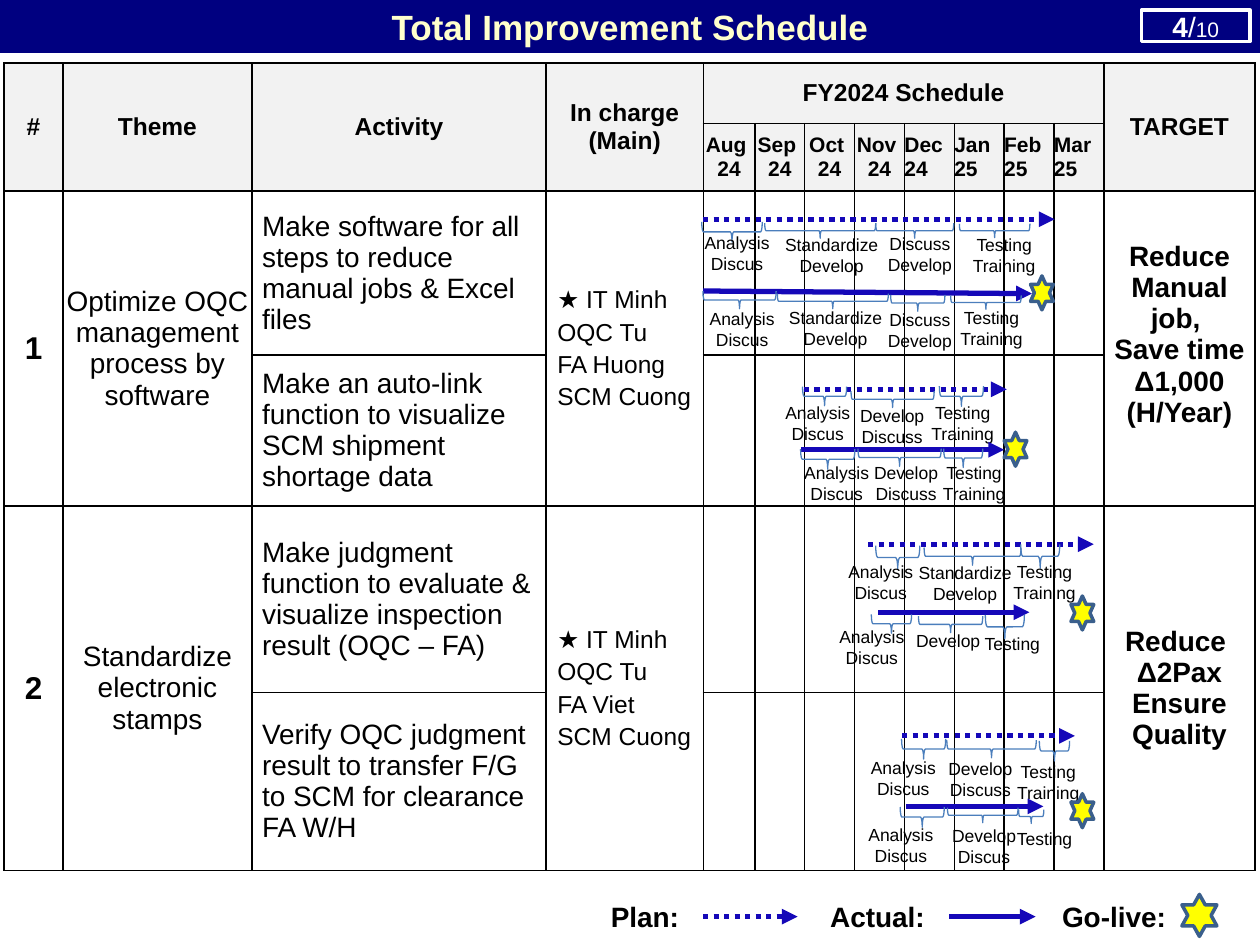
from pptx import Presentation
from pptx.dml.color import RGBColor
from pptx.enum.dml import MSO_LINE as Dash
from pptx.enum.shapes import MSO_CONNECTOR as Conn, MSO_SHAPE as Form
from pptx.enum.text import MSO_ANCHOR as Anchor, PP_ALIGN as Align
from pptx.oxml.ns import qn
from pptx.util import Pt
from lxml.etree import SubElement as Sub

BLACK = RGBColor(0, 0, 0)
WHITE = RGBColor(255, 255, 255)
GREY = RGBColor(0xF2, 0xF2, 0xF2)
NAVY = RGBColor(0, 0, 0x80)
CREAM = RGBColor(0xFF, 0xFF, 0xCC)
BLUE = RGBColor(0x15, 0x08, 0xB8)
STEEL = RGBColor(0x4B, 0x7E, 0xBC)
SLATE = RGBColor(0x3A, 0x5F, 0x8C)
YELLOW = RGBColor(255, 255, 0)

LEFT, MID = Align.LEFT, Align.CENTER
COLS = [33.7, 108, 168, 90, 29.4] + [28.5] * 7 + [86.4]
ROWS = [34.6, 38.5, 93.6, 86.4, 106.6, 101.5]
HEADS = {0: "#", 1: "Theme", 2: "Activity", 3: "In charge (Main)", 12: "TARGET"}
MONTHS = [["Aug ", "24"], ["Sep ", "24"], ["Oct ", "24"], ["Nov ", "24"],
          ["Dec 24"], ["Jan 25"], ["Feb 25"], ["Mar 25"]]

# theme, activities, people in charge, target, target cell margins
THEMES = [
    ("Optimize OQC management process by software",
     ["Make software for all steps to reduce manual jobs & Excel files",
      "Make an auto-link function to visualize SCM shipment shortage data"],
     ["★ IT Minh", "OQC Tu", "FA Huong", "SCM Cuong"],
     ["Reduce Manual job, ", "Save time", "Δ1,000 (H/Year)"], (0, 0, 0, 16)),
    ("Standardize electronic stamps",
     ["Make judgment function to evaluate & visualize inspection result (OQC – FA)",
      "Verify OQC judgment result to transfer F/G to SCM for clearance FA W/H"],
     ["★ IT Minh", "OQC Tu", "FA Viet", "SCM Cuong"],
     ["Reduce ", "Δ2Pax", "Ensure Quality"], (3.6,) * 4),
]

STUDY, NORM, TALK = "Analysis Discus", "Standardize Develop", "Discuss Develop"
BUILD, TEST = "Develop Discuss", "Testing Training"
WIDTHS = {STUDY: 69, NORM: 69, BUILD: 54, "Develop": 61, "Develop Discus": 69}

# bar: is plan, start, end, phases
# phase: label, its centre, brace centre, brace length and depth
BARS = [
    (True, (401.8, 125.3), (602.6, 125.3), [
        (STUDY, 421.2, 144.4, 418.3, 132.5, 34.6, 11.5),
        (NORM, 475.2, 145.8, 468.7, 131.8, 63.4, 8.6),
        (TALK, 525.6, 145.1, 522.7, 131.8, 44.6, 8.6),
        (TEST, 573.8, 145.8, 568.4, 131.8, 40.3, 7.9)]),
    (False, (401.8, 166.3), (589.7, 167.8), [
        (STUDY, 424.1, 187.9, 422.6, 171.4, 41.8, 10.1),
        (NORM, 477.4, 187.6, 475.9, 172.1, 63.4, 8.6),
        (TALK, 525.6, 188.3, 524.5, 173.2, 31, 9.4),
        (TEST, 566.6, 187.6, 563.4, 172.8, 40.3, 7.9)]),
    (True, (459.4, 222.5), (575.3, 222.5), [
        (STUDY, 467.3, 241.6, 471.2, 226.4, 25.2, 10.8),
        (BUILD, 509.8, 243.2, 510.1, 228.2, 47.5, 9.4),
        (TEST, 550.1, 241.6, 549.4, 226.4, 25.2, 11.5)]),
    (False, (457.9, 257), (573.8, 257), [
        (STUDY, 478.1, 276.1, 473, 262.4, 31, 11.5),
        (BUILD, 517.7, 276.1, 514.1, 261.4, 47.5, 10.1),
        (TEST, 556.6, 276.1, 550.4, 261.7, 22.3, 10.8)]),
    (True, (496.1, 311), (625, 311), [
        (STUDY, 503.3, 332.3, 513, 318.6, 25.2, 13.7),
        (NORM, 551.5, 333, 555.8, 317.9, 55.4, 10.1),
        (TEST, 596.9, 332.3, 594.4, 317.9, 22.3, 13.7)]),
    (False, (501.8, 349.9), (588.2, 349.9), [
        (STUDY, 498.2, 369.7, 509.4, 356.4, 23, 10.8),
        ("Develop", 541.8, 366.1, 543.2, 356.8, 36.7, 9.4),
        ("Testing", 578.5, 367.9, 574.2, 358.2, 22.3, 13.7)]),
    (True, (515.5, 420.5), (614.2, 420.5), [
        (STUDY, 516.2, 444.6, 527.8, 428, 25.2, 11.5),
        (BUILD, 560.2, 445.3, 566.6, 428, 51.1, 10.1),
        (TEST, 599, 446.8, 602.6, 429.1, 17.3, 11.5)]),
    (False, (517.7, 460.8), (596.2, 460.8), [
        (STUDY, 514.8, 482.8, 527, 466.9, 25.2, 11.5),
        ("Develop Discus", 562.3, 483.5, 561.6, 465.8, 40.3, 8.6),
        ("Testing", 596.9, 479.2, 589.3, 466.6, 14.4, 7.9)]),
]
STARS = [(595.4, 167.4), (580.3, 256.7), (618.5, 350.3), (618.5, 463.3)]


class Board:
    font = "Arial"

    def __init__(self, slide):
        self.slide = slide
        self.shapes = slide.shapes

    def run(self, para, text, size, bold=False, color=BLACK):
        run = para.add_run()
        run.text = text
        font = run.font
        font.name, font.size, font.bold = self.font, Pt(size), bold
        font.color.rgb = color

    def paras(self, frame, lines, size, bold=False, align=MID, gap=0):
        for i, line in enumerate(lines):
            para = frame.add_paragraph() if i else frame.paragraphs[0]
            para.alignment = align
            if i and gap:
                para.space_before = Pt(gap)
            self.run(para, line, size, bold)

    def text(self, x, y, w, h, line, size, bold=False, align=MID, anchor=Anchor.MIDDLE):
        box = self.shapes.add_textbox(Pt(x), Pt(y), Pt(w), Pt(h))
        box.text_frame.word_wrap = True
        box.text_frame.vertical_anchor = anchor
        self.paras(box.text_frame, [line], size, bold, align)
        return box

    def shape(self, form, x, y, w, h, fill, line, weight):
        item = self.shapes.add_shape(form, Pt(x), Pt(y), Pt(w), Pt(h))
        item.shadow.inherit = False
        if fill is None:
            item.fill.background()
        else:
            item.fill.solid()
            item.fill.fore_color.rgb = fill
        item.line.color.rgb = line
        item.line.width = Pt(weight)
        return item

    def brace(self, cx, cy, span, depth):
        """Draw a brace lying under a bar, its tip pointing down."""
        item = self.shape(Form.LEFT_BRACE, cx - depth / 2, cy - span / 2,
                          depth, span, None, STEEL, 0.75)
        item.rotation = 270

    def star(self, cx, cy, w=13, h=19.4):
        self.shape(Form.STAR_6_POINT, cx - w / 2, cy - h / 2, w, h, YELLOW, SLATE, 2)

    def arrow(self, plan, start, end, box=None):
        line = self.shapes.add_connector(Conn.STRAIGHT, *map(Pt, start + end))
        if box is not None:
            line.begin_connect(box, 3)
        line.line.color.rgb = BLUE
        line.line.width = Pt(3)
        if plan:
            line.line.dash_style = Dash.ROUND_DOT
        props = line._element.spPr
        Sub(props.find(qn("a:ln")), qn("a:tailEnd"), type="triangle")
        Sub(props, qn("a:effectLst"))

    def bar(self, plan, start, end, phases):
        self.arrow(plan, start, end)
        for label, x, y, *brace in phases:
            self.brace(*brace)
            w, h = WIDTHS.get(label, 57.6), 34 if " " in label else 16
            self.text(x - w / 2, y - h / 2, w, h, label, 10)

    def grid(self, x, y, cols, rows, heads):
        """Add a bordered table whose first rows are shaded as heads."""
        table = self.shapes.add_table(len(rows), len(cols), Pt(x), Pt(y),
                                      Pt(sum(cols)), Pt(sum(rows))).table
        for col, size in zip(table.columns, cols):
            col.width = Pt(size)
        for i, (row, size) in enumerate(zip(table.rows, rows)):
            row.height = Pt(size)
            for cell in row.cells:
                props = cell._tc.get_or_add_tcPr()
                for side in ("lnL", "lnR", "lnT", "lnB"):
                    edge = Sub(props, qn("a:" + side), w=str(Pt(1)))
                    Sub(Sub(edge, qn("a:solidFill")), qn("a:srgbClr"), val=str(BLACK))
                cell.fill.solid()
                cell.fill.fore_color.rgb = GREY if i < heads else WHITE
        return table

    def cell(self, cell, lines, size, bold=False, align=MID, pad=(0,) * 4, gap=0):
        cell.vertical_anchor = Anchor.MIDDLE
        (cell.margin_left, cell.margin_top,
         cell.margin_right, cell.margin_bottom) = map(Pt, pad)
        self.paras(cell.text_frame, lines, size, bold, align, gap)


def plot(board):
    table = board.grid(2.3, 36, COLS, ROWS, 2)
    at = table.cell
    pad = (7.2, 3.6, 7.2, 3.6)
    for col, head in HEADS.items():
        at(0, col).merge(at(1, col))
        board.cell(at(0, col), [head], 14, True, pad=pad)
    at(0, 4).merge(at(0, 11))
    board.cell(at(0, 4), ["FY2024 Schedule"], 14, True, pad=pad)
    for col, month in enumerate(MONTHS, 4):
        board.cell(at(1, col), month, 12, True, MID if len(month) > 1 else LEFT)
    for i, (theme, tasks, staff, goal, inset) in enumerate(THEMES):
        top = 2 + 2 * i
        for col in HEADS:
            if col != 2:
                at(top, col).merge(at(top + 1, col))
        board.cell(at(top, 0), [str(i + 1)], 18, True)
        board.cell(at(top, 1), [theme], 16)
        for row, task in enumerate(tasks, top):
            board.cell(at(row, 2), [task], 16, align=LEFT, pad=(5.8, 0, 5.8, 0))
        board.cell(at(top, 3), staff, 14, align=LEFT, pad=(6.5, 2.9, 6.5, 2.9), gap=2.8)
        board.cell(at(top, 12), goal, 16, True, pad=inset)


def legend(board):
    y, h = 510.5, 26.6
    for plan, label, x, w, end in ((True, "Plan:", 342, 59.8, 455.8),
                                   (False, "Actual:", 467.3, 75.2, 591.8)):
        box = board.text(x, y, w, h, label, 16, True, LEFT, Anchor.TOP)
        board.arrow(plan, (x + w, y + h / 2), (end, y + h / 2), box)
    board.text(599.8, y, 75.6, h, "Go-live:", 16, True, LEFT, Anchor.TOP)
    board.star(685.4, 523.1, 20, 24)


def banner(board):
    bar = board.shape(Form.RECTANGLE, 0, 0, 720, 30.2, NAVY, NAVY, 0.75)
    page = board.shape(Form.RECTANGLE, 652.3, 5.8, 62, 18, None, WHITE, 2)
    for item, runs in ((bar, [("Total Improvement Schedule", 20, True, CREAM)]),
                       (page, [("4", 16, True, WHITE), ("/", 16, False, WHITE),
                               ("10", 12, False, WHITE)])):
        item.text_frame.vertical_anchor = Anchor.MIDDLE
        para = item.text_frame.paragraphs[0]
        para.alignment = MID
        for run in runs:
            board.run(para, *run)


def main():
    deck = Presentation()
    deck.slide_width, deck.slide_height = Pt(720), Pt(540)
    board = Board(deck.slides.add_slide(deck.slide_layouts[6]))
    plot(board)
    legend(board)
    for bar in BARS:
        board.bar(*bar)
    for star in STARS:
        board.star(*star)
    banner(board)
    deck.save("out.pptx")


if __name__ == "__main__":
    main()
